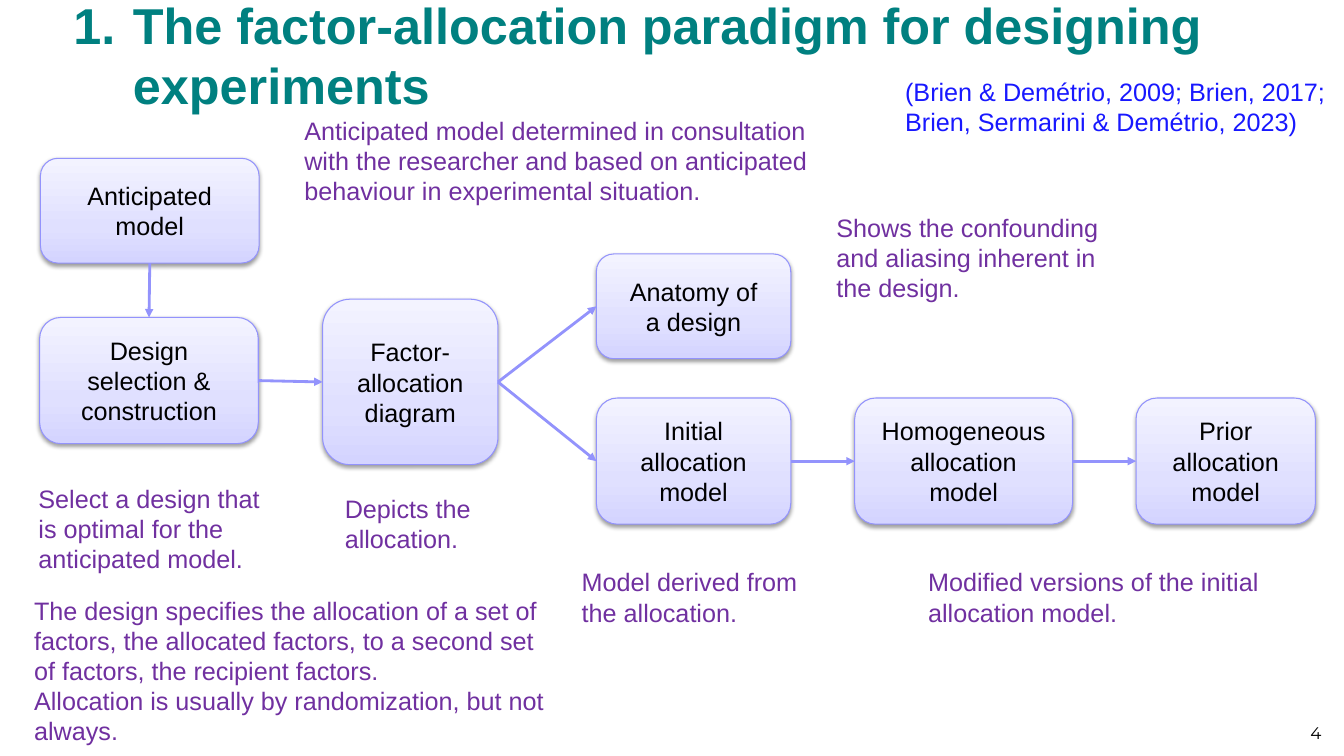
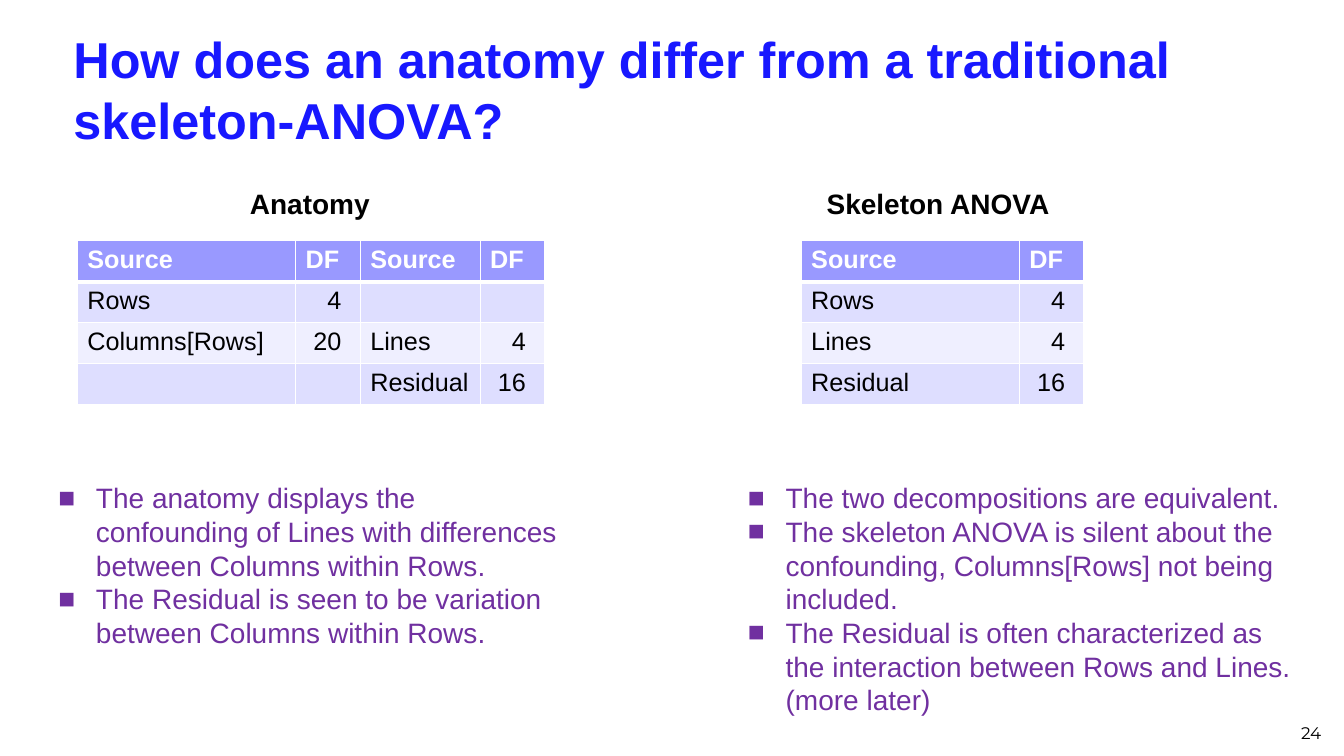
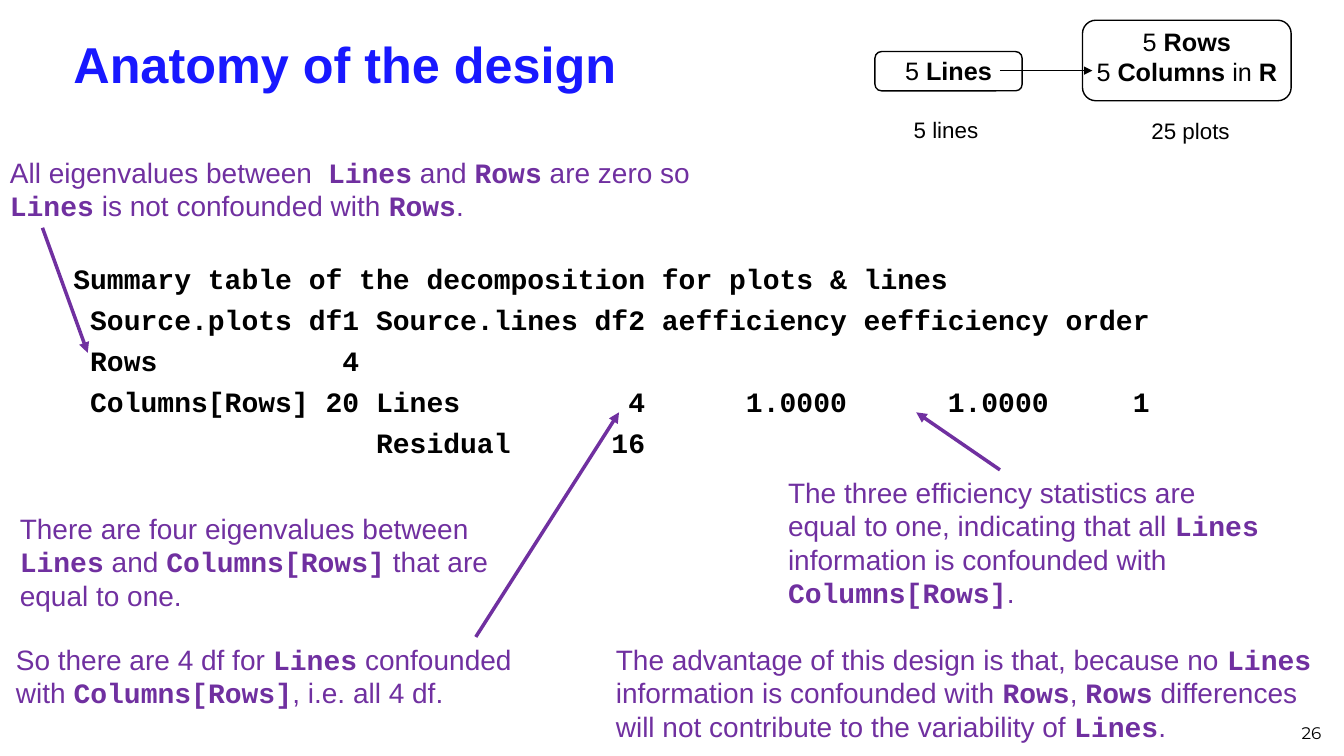
import copy
from dataclasses import dataclass, replace
from typing import NamedTuple, Optional, Sequence

import lxml.etree
import pptx
import pptx.dml.color
import pptx.enum.shapes
import pptx.enum.text
import pptx.oxml.ns
import pptx.shapes.autoshape
import pptx.shapes.connector
import pptx.slide
import pptx.text.text
import pptx.util

Cm = pptx.util.Cm
Pt = pptx.util.Pt
qn = pptx.oxml.ns.qn
ALIGN = pptx.enum.text.PP_ALIGN
ANCHOR = pptx.enum.text.MSO_ANCHOR

# Shared colours
BLACK, WHITE = "000000", "FFFFFF"
PURPLE, BLUE, TEAL, LAVENDER = "7030A0", "1818FF", "008080", "9393FC"
HEADER_FILL, BAND_FILLS = "9999FF", ("DEDEFF", "EFEFFF")
BOX_GRADIENT = ((0, "D4D4FF"), (0.35, "E0E0FF"), (1, "F3F3FF"))


class Area(NamedTuple):
    """Left, top, width and height in centimetres."""
    left: float
    top: float
    width: float
    height: float


@dataclass(frozen=True)
class Style:
    size: float = 18
    color: str = BLACK
    font: str = "Arial"
    bold: bool = False
    accent_font: str = "Arial"  # used, in bold, between backticks
    align: Optional[ALIGN] = None
    anchor: ANCHOR = ANCHOR.TOP
    insets: tuple[float, float] = (0.25, 0.13)
    hanging: float = 0
    bullet: str = ""
    space_before: float = 0


class Note(NamedTuple):
    area: Area
    text: str


class FlowBox(NamedTuple):
    area: Area
    text: str


class Link(NamedTuple):
    start: str
    start_site: int
    end: str
    end_site: int


class Arrow(NamedTuple):
    left: float
    top: float
    end_left: float
    end_top: float


# Shared text styles
TITLE = Style(36, BLUE, bold=True, anchor=ANCHOR.MIDDLE)
NUMBERED_TITLE = replace(TITLE, color=TEAL, hanging=1.5)
PAGE_NUMBER = Style(12, font="Montserrat", align=ALIGN.RIGHT, anchor=ANCHOR.BOTTOM)
WIDE_INSETS = (0.33, 0.18)
FLOW_TEXT = Style(align=ALIGN.CENTER, anchor=ANCHOR.MIDDLE, insets=WIDE_INSETS)
FLOW_NOTE = Style(color=PURPLE, insets=WIDE_INSETS)
REMARK = Style(20, PURPLE, accent_font="Courier New")
BULLETS = replace(REMARK, hanging=0.95, bullet="■")
TABLE_TITLE = Style(20, bold=True, align=ALIGN.CENTER)
OUTPUT = Style(20, font="Courier New", bold=True, space_before=5.4)
FACTOR_TEXT = Style(align=ALIGN.CENTER, insets=(0.03, 0.05))
FACTOR_LABEL = Style(16, align=ALIGN.CENTER)

TOP, LEFT, BOTTOM, RIGHT = range(4)  # connection sites


def rgb(color: str) -> pptx.dml.color.RGBColor:
    return pptx.dml.color.RGBColor.from_string(color)


def lengths(values: Sequence[float]) -> list[pptx.util.Length]:
    return [Cm(value) for value in values]


# Text
def format_paragraph(para: pptx.text.text._Paragraph, style: Style, first: bool) -> None:
    if style.align is not None:
        para.alignment = style.align
    if style.space_before and not first:
        para.space_before = Pt(style.space_before)
    properties = para._p.get_or_add_pPr()
    if style.hanging:
        properties.set("marL", str(Cm(style.hanging)))
        properties.set("indent", str(-Cm(style.hanging)))
    if style.bullet:
        lxml.etree.SubElement(properties, qn("a:buFont"), typeface="Arial")
        lxml.etree.SubElement(properties, qn("a:buChar"), char=style.bullet)


def write(frame: pptx.text.text.TextFrame, text: str, style: Style) -> None:
    frame.word_wrap = True
    frame.vertical_anchor = style.anchor
    side, edge = lengths(style.insets)
    frame.margin_left = frame.margin_right = side
    frame.margin_top = frame.margin_bottom = edge
    for index, line in enumerate(text.split("\n")):
        para = frame.add_paragraph() if index else frame.paragraphs[0]
        format_paragraph(para, style, index == 0)
        for position, piece in enumerate(line.split("`")):
            if not piece:
                continue
            accented = position % 2 == 1
            span = para.add_run()
            span.text = piece
            span.font.size = Pt(style.size)
            span.font.color.rgb = rgb(style.color)
            span.font.name = style.accent_font if accented else style.font
            span.font.bold = style.bold or accented


def add_text(page: pptx.slide.Slide, area: Area, text: str, style: Style) -> None:
    write(page.shapes.add_textbox(*lengths(area)).text_frame, text, style)


def add_notes(page: pptx.slide.Slide, notes: Sequence[Note], style: Style) -> None:
    for note in notes:
        add_text(page, note.area, note.text, style)


# Shapes and arrows
def add_rounded(page: pptx.slide.Slide, area: Area, text: str, style: Style,
                line: str, width: float) -> pptx.shapes.autoshape.Shape:
    box = page.shapes.add_shape(
        pptx.enum.shapes.MSO_SHAPE.ROUNDED_RECTANGLE, *lengths(area))
    box.shadow.inherit = False
    box.fill.background()
    box.line.color.rgb = rgb(line)
    box.line.width = Pt(width)
    write(box.text_frame, text, style)
    return box


def add_flow_box(page: pptx.slide.Slide, item: FlowBox) -> pptx.shapes.autoshape.Shape:
    box = add_rounded(page, item.area, item.text, FLOW_TEXT, LAVENDER, 0.75)
    box.fill.gradient()
    box.fill.gradient_angle = 90
    stop_list = box._element.spPr.find(qn("a:gradFill")).find(qn("a:gsLst"))
    stop_list.append(copy.deepcopy(stop_list[0]))
    for stop, (position, color) in zip(box.fill.gradient_stops, BOX_GRADIENT):
        stop.position = position
        stop.color.rgb = rgb(color)
    effects = box._element.spPr.find(qn("a:effectLst"))
    shadow = lxml.etree.SubElement(
        effects, qn("a:outerShdw"), blurRad=str(Pt(3.1)), dist=str(Pt(1.6)),
        dir="5400000", rotWithShape="0")
    shade = lxml.etree.SubElement(shadow, qn("a:srgbClr"), val=BLACK)
    lxml.etree.SubElement(shade, qn("a:alpha"), val="38000")
    return box


def add_arrow(page: pptx.slide.Slide, arrow: Arrow, color: str,
              width: float) -> pptx.shapes.connector.Connector:
    connector = page.shapes.add_connector(
        pptx.enum.shapes.MSO_CONNECTOR.STRAIGHT, *lengths(arrow))
    connector.line.color.rgb = rgb(color)
    connector.line.width = Pt(width)
    properties = connector._element.spPr
    lxml.etree.SubElement(properties.find(qn("a:ln")), qn("a:tailEnd"), type="triangle")
    lxml.etree.SubElement(properties, qn("a:effectLst"))
    return connector


# Tables
def add_borders(cell: pptx.table._Cell, bottom: float) -> None:
    properties = cell._tc.get_or_add_tcPr()
    widths = {"a:lnL": 1, "a:lnR": 1, "a:lnT": 1, "a:lnB": bottom}
    for index, (tag, width) in enumerate(widths.items()):
        line = lxml.etree.Element(qn(tag), w=str(Pt(width)))
        fill = lxml.etree.SubElement(line, qn("a:solidFill"))
        lxml.etree.SubElement(fill, qn("a:srgbClr"), val=WHITE)
        properties.insert(index, line)


def add_source_table(page: pptx.slide.Slide, left: float, widths: Sequence[float],
                     rows: Sequence[Sequence[str]]) -> None:
    row_height = 1.03
    area = Area(left, 6.07, sum(widths), row_height * len(rows))
    table = page.shapes.add_table(len(rows), len(widths), *lengths(area)).table
    for column, width in zip(table.columns, widths):
        column.width = Cm(width)
    for row_index, row in enumerate(rows):
        header = row_index == 0
        style = Style(color=WHITE, bold=True) if header else Style()
        for column_index, text in enumerate(row):
            cell = table.cell(row_index, column_index)
            number = text.isdigit()
            write(cell.text_frame, text,
                  replace(style, align=ALIGN.RIGHT if number else ALIGN.LEFT))
            cell.margin_right = Cm(0.48 if number else 0.25)
            cell.fill.solid()
            cell.fill.fore_color.rgb = rgb(
                HEADER_FILL if header else BAND_FILLS[(row_index - 1) % 2])
            add_borders(cell, 3 if header else 1)


# Slides
def add_page(deck: pptx.presentation.Presentation, title: str, top: float,
             height: float, number: int, style: Style = TITLE) -> pptx.slide.Slide:
    page = deck.slides.add_slide(deck.slide_layouts[6])
    add_text(page, Area(1.6, top, 32, height), title, style)
    add_text(page, Area(25.65, 17.58, 7.9, 1.27), str(number), PAGE_NUMBER)
    return page


def build_paradigm(deck: pptx.presentation.Presentation) -> None:
    page = add_page(deck, "1.\tThe factor-allocation paradigm for designing experiments",
                    0.15, 2.44, 4, NUMBERED_TITLE)
    model_top, model_height = 10.03, 3.18
    items = {
        "anticipated": FlowBox(Area(1.02, 3.99, 5.51, 2.64), "Anticipated\nmodel"),
        "design": FlowBox(Area(1, 8, 5.51, 3.18), "Design selection &\nconstruction"),
        "diagram": FlowBox(Area(8.13, 7.54, 4.42, 4.17), "Factor-allocation diagram"),
        "anatomy": FlowBox(Area(15.03, 6.4, 4.9, 2.64), "Anatomy of\na design"),
        "initial": FlowBox(Area(15.03, model_top, 4.9, model_height),
                           "Initial\nallocation model"),
        "homogeneous": FlowBox(Area(21.54, model_top, 5.49, model_height),
                               "Homogeneous allocation\nmodel"),
        "prior": FlowBox(Area(28.63, model_top, 4.52, model_height),
                         "Prior\nallocation model"),
    }
    boxes = {name: add_flow_box(page, item) for name, item in items.items()}
    for link in (
        Link("anticipated", BOTTOM, "design", TOP),
        Link("design", RIGHT, "diagram", LEFT),
        Link("diagram", RIGHT, "anatomy", LEFT),
        Link("diagram", RIGHT, "initial", LEFT),
        Link("initial", RIGHT, "homogeneous", LEFT),
        Link("homogeneous", RIGHT, "prior", LEFT),
    ):
        connector = add_arrow(page, Arrow(0, 0, 1, 1), LAVENDER, 2)
        connector.begin_connect(boxes[link.start], link.start_site)
        connector.end_connect(boxes[link.end], link.end_site)
    add_notes(page, (
        Note(Area(7.34, 2.72, 13.39, 2.46),
             "Anticipated model determined in consultation with the researcher and "
             "based on anticipated behaviour in experimental situation."),
        Note(Area(0.64, 11.99, 6.3, 3),
             "Select a design that is optimal for the anticipated model."),
        Note(Area(0.53, 14.81, 13.79, 4.01),
             "The design specifies the allocation of a set of factors, the allocated "
             "factors, to a second set of factors, the recipient factors.\n"
             "Allocation is usually by randomization, but not always."),
        Note(Area(8.36, 12.24, 3.96, 1.9), "Depicts the allocation."),
        Note(Area(20.75, 5.16, 7.8, 2.82),
             "Shows the confounding and aliasing inherent in the design."),
        Note(Area(14.33, 14.1, 6.4, 1.98), "Model derived from the allocation."),
        Note(Area(23.06, 14.1, 9.19, 1.9),
             "Modified versions of the initial allocation model."),
    ), FLOW_NOTE)
    add_text(page, Area(22.48, 1.75, 11.4, 2.01),
             "(Brien & Demétrio, 2009; Brien, 2017;\nBrien, Sermarini & Demétrio, 2023)",
             replace(FLOW_NOTE, color=BLUE))


def build_comparison(deck: pptx.presentation.Presentation) -> None:
    page = add_page(deck, "How does an anatomy differ from a traditional skeleton-ANOVA?",
                    0.58, 3.33, 24)
    add_notes(page, (
        Note(Area(3.86, 4.57, 7.9, 1.12), "Anatomy"),
        Note(Area(19.69, 4.57, 7.9, 1.12), "Skeleton ANOVA"),
    ), TABLE_TITLE)
    add_source_table(page, 1.95, (5.5, 1.63, 3.02, 1.63), (
        ("Source", "DF", "Source", "DF"),
        ("Rows", "4", "", ""),
        ("Columns[Rows]", "20", "Lines", "4"),
        ("", "", "Residual", "16"),
    ))
    add_source_table(page, 20.19, (5.5, 1.63), (
        ("Source", "DF"), ("Rows", "4"), ("Lines", "4"), ("Residual", "16"),
    ))
    add_notes(page, (
        Note(Area(1.22, 11.99, 13.54, 4.52),
             "The anatomy displays the confounding of Lines with differences between "
             "Columns within Rows.\n"
             "The Residual is seen to be variation between Columns within Rows."),
        Note(Area(18.6, 11.99, 14.27, 6.25),
             "The two decompositions are equivalent.\n"
             "The skeleton ANOVA is silent about the confounding, Columns[Rows] not "
             "being included.\n"
             "The Residual is often characterized as the interaction between Rows and "
             "Lines. (more later)"),
    ), BULLETS)


def build_anatomy(deck: pptx.presentation.Presentation) -> None:
    page = add_page(deck, "Anatomy of the design", 0.58, 2.01, 26)
    # Factor-allocation diagram
    for area, text in (
        (Area(22.05, 1.3, 3.71, 0.99), "5 `Lines`"),
        (Area(27.28, 0.51, 5.26, 2.03), "5 `Rows`\n5 `Columns` in `R`"),
    ):
        add_rounded(page, area, text, FACTOR_TEXT, BLACK, 1)
    add_notes(page, (
        Note(Area(22.43, 2.79, 2.82, 0.94), "5 lines"),
        Note(Area(27.91, 2.82, 4.19, 0.94), "25 plots"),
    ), FACTOR_LABEL)
    add_arrow(page, Arrow(25.2, 1.78, 27.53, 1.78), BLACK, 1)
    # Program output
    add_text(page, Area(1.6, 6.45, 32, 5.44), "\n".join((
        "Summary table of the decomposition for plots & lines",
        " Source.plots df1 Source.lines df2 aefficiency eefficiency order",
        " Rows           4",
        " Columns[Rows] 20 Lines          4      1.0000      1.0000     1",
        "                  Residual      16",
    )), OUTPUT)
    # Remarks and their arrows
    add_notes(page, (
        Note(Area(0, 3.78, 18.19, 1.96),
             "All eigenvalues between  `Lines` and `Rows` are zero so `Lines` is not "
             "confounded with `Rows`."),
        Note(Area(19.61, 11.84, 12.5, 3.68),
             "The three efficiency statistics are equal to one, indicating that all "
             "`Lines` information is confounded with `Columns[Rows]`."),
        Note(Area(0.25, 12.75, 12.5, 2.82),
             "There are four eigenvalues between `Lines` and `Columns[Rows]` that are "
             "equal to one."),
        Note(Area(0.15, 16.05, 13.74, 1.96),
             "So there are 4 df for `Lines` confounded with `Columns[Rows]`, i.e. all "
             "4 df."),
        Note(Area(15.27, 16.05, 18.29, 2.82),
             "The advantage of this design is that, because no `Lines` information is "
             "confounded with `Rows`, `Rows` differences will not contribute to the "
             "variability of `Lines`."),
    ), REMARK)
    for arrow in (
        Arrow(1.07, 5.74, 2.21, 8.89),
        Arrow(11.99, 16.05, 15.6, 10.39),
        Arrow(25.2, 11.84, 23.09, 10.39),
    ):
        add_arrow(page, arrow, PURPLE, 2.5)


def main() -> None:
    deck = pptx.Presentation()
    deck.slide_width, deck.slide_height = Cm(33.87), Cm(19.05)
    build_paradigm(deck)
    build_comparison(deck)
    build_anatomy(deck)
    deck.save("out.pptx")


if __name__ == "__main__":
    main()
